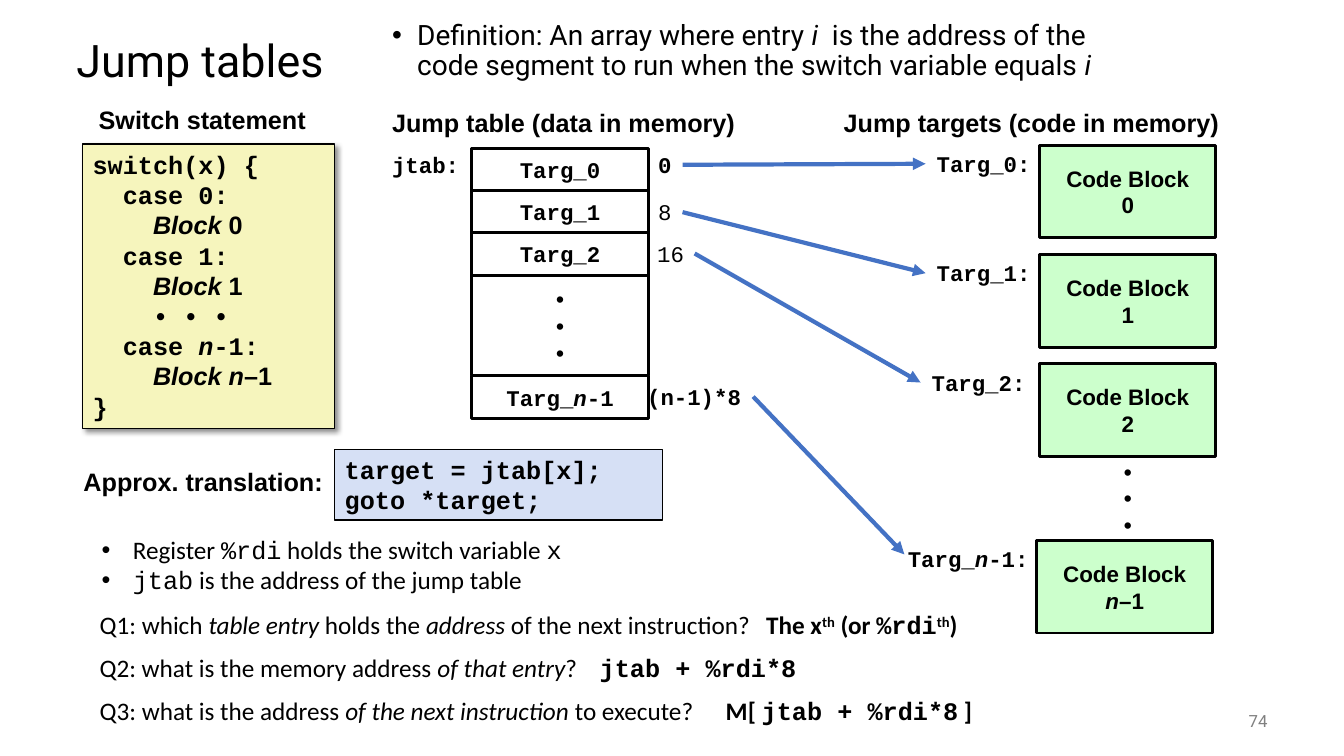
from lxml import etree
from pptx import Presentation
from pptx.dml.color import RGBColor
from pptx.enum.shapes import MSO_CONNECTOR, MSO_SHAPE
from pptx.enum.text import MSO_ANCHOR, MSO_AUTO_SIZE, PP_ALIGN
from pptx.oxml.ns import qn
from pptx.util import Inches, Pt

RECT, STRAIGHT = MSO_SHAPE.RECTANGLE, MSO_CONNECTOR.STRAIGHT
LEFT, CENTER, RIGHT = PP_ALIGN.LEFT, PP_ALIGN.CENTER, PP_ALIGN.RIGHT
TOP, MIDDLE = MSO_ANCHOR.TOP, MSO_ANCHOR.MIDDLE
GROW, FIXED = MSO_AUTO_SIZE.SHAPE_TO_FIT_TEXT, MSO_AUTO_SIZE.NONE
ARIAL, CALIBRI, MONO, ROBOTO = "Arial", "Calibri", "Courier New", "Roboto"
BLACK, WHITE, GRAY = "000000", "FFFFFF", "808080"
YELLOW, PALE_BLUE, GREEN, ARROW_BLUE = "F6F5BD", "D6E0F5", "CCFFCC", "4472C4"
DOTS = [[("•", MONO, "b")]] * 3
LABEL_H = 0.37


def rgb(color):
    return RGBColor.from_string(color)


def write(sp, paras, size=18, align=LEFT, anchor=TOP, wrap=False, grow=True,
          color=BLACK, spacing=None, bullet=None):
    """Fill a shape; a run is (text, font, flags): b bold, i italic, ^ raised."""
    tf = sp.text_frame
    tf.word_wrap, tf.vertical_anchor = wrap, anchor
    tf.auto_size = GROW if grow else FIXED
    for n, runs in enumerate(paras):
        p = tf.add_paragraph() if n else tf.paragraphs[0]
        p.alignment = align
        if spacing:
            p.line_spacing = spacing
        if bullet:
            pPr = p._p.get_or_add_pPr()
            pPr.set("marL", str(Inches(bullet)))
            pPr.set("indent", str(-Inches(bullet)))
            etree.SubElement(pPr, qn("a:buFont")).set("typeface", ARIAL)
            etree.SubElement(pPr, qn("a:buChar")).set("char", "•")
        for text, font, flags in runs:
            r = p.add_run()
            r.text = text
            r.font.name, r.font.size = font, Pt(size)
            r.font.bold, r.font.italic = "b" in flags, "i" in flags
            r.font.color.rgb = rgb(color)
            if "^" in flags:
                r._r.get_or_add_rPr().set("baseline", "30000")


def add_text(s, x, y, w, h, paras, **style):
    sp = s.shapes.add_textbox(Inches(x), Inches(y), Inches(w), Inches(h))
    write(sp, paras, **style)
    return sp


def add_box(s, x, y, w, h, paras, fill, line=2, **style):
    sp = s.shapes.add_shape(RECT, Inches(x), Inches(y), Inches(w), Inches(h))
    sp.shadow.inherit = False
    sp.fill.solid()
    sp.fill.fore_color.rgb = rgb(fill)
    if line:
        sp.line.color.rgb = rgb(BLACK)
        sp.line.width = Pt(line)
    else:
        sp.line.fill.background()
    write(sp, paras, **style)
    return sp


def add_heading(s, x, y, w, text):
    add_text(s, x, y, w, 0.4, [[(text, ARIAL, "b")]])


def add_drop_shadow(sp):
    effects = sp._element.spPr.find(qn("a:effectLst"))
    shadow = etree.SubElement(effects, qn("a:outerShdw"), blurRad=str(Pt(4)),
                              dist=str(Pt(3)), dir="2700000", algn="tl")
    tint = etree.SubElement(shadow, qn("a:srgbClr"), val=BLACK)
    etree.SubElement(tint, qn("a:alpha"), val="43000")


def add_arrow(s, start, target):
    """Join an offset label to a target label, or to a free point (x, y)."""
    free = isinstance(target, tuple)
    x, y = target if free else (0, 0)
    c = s.shapes.add_connector(STRAIGHT, 0, 0, Inches(x), Inches(y))
    c.begin_connect(start, 3)
    if not free:
        c.end_connect(target, 1)
    c.line.color.rgb = rgb(ARROW_BLUE)
    c.line.width = Pt(3)
    etree.SubElement(c.line._get_or_add_ln(), qn("a:tailEnd"), type="triangle")
    etree.SubElement(c._element.spPr, qn("a:effectLst"))


def add_title(s, x, y):
    add_text(s, x, y, 3, 0.75, [[("Jump tables", ROBOTO, "")]], size=32,
             anchor=MIDDLE, wrap=True, grow=False, spacing=0.9)
    definition = [("Definition: An array where entry ", ROBOTO, ""), ("i ", ROBOTO, "i"),
                  (" is the address of the code segment to run when the switch "
                   "variable equals ", ROBOTO, ""), ("i", ROBOTO, "i")]
    add_text(s, x + 3.13, y - 0.09, 7.43, 0.95, [definition], size=20, wrap=True,
             grow=False, spacing=0.9, bullet=0.25)


def add_switch(s, x, y):
    def block(name, rest):
        return [("    ", MONO, "b"), (name, ARIAL, "bi"), (rest, ARIAL, "b")]

    code = [
        [("switch(x) {", MONO, "b")],
        [("  case 0:", MONO, "b")], block("Block", " 0"),
        [("  case 1:", MONO, "b")], block("Block", " 1"),
        [("    • • •", MONO, "b")],
        [("  case ", MONO, "b"), ("n", MONO, "bi"), ("-1:", MONO, "b")],
        block("Block n", "–1"),
        [("}", MONO, "b")],
    ]
    add_drop_shadow(add_box(s, x, y, 2.5, 2.82, code, YELLOW, line=1, wrap=True))
    add_heading(s, x + 0.06, y - 0.44, 2.29, "Switch statement")


def add_translation(s, x, y):
    code = [[(line, MONO, "b")] for line in ("target = jtab[x];", "goto *target;")]
    add_box(s, x + 2.59, y, 3.25, 0.7, code, PALE_BLUE, line=1, wrap=True)
    add_heading(s, x, y + 0.12, 2.6, "Approx. translation:")
    notes = [
        [("Register ", CALIBRI, ""), ("%rdi", MONO, ""),
         (" holds the switch variable ", CALIBRI, ""), ("x", MONO, "")],
        [("jtab", MONO, ""), (" is the address of the jump table", CALIBRI, "")],
    ]
    add_text(s, x + 0.18, y + 0.79, 4.9, 0.71, notes, wrap=True, bullet=0.31)


def add_jump_table(s, x, y):
    """Draw the table and return its offset labels."""
    w, h, dots_h = 1.75, 0.42, 1
    left = x + 0.89
    cell = dict(size=16, align=CENTER, anchor=MIDDLE, grow=False)
    last_y = y + 3 * h + dots_h
    entries = [(y + n * h, [(str(n), MONO, "b")]) for n in range(3)]
    entries.append((last_y, [("n", MONO, "bi"), ("-1", MONO, "b")]))
    for top, index in entries:
        name = [("Targ", MONO, "b"), ("_", MONO, "" if top < last_y else "b")]
        add_box(s, left, top, w, h, [name + index], WHITE, **cell)
    add_box(s, left, y + 3 * h, w, dots_h, DOTS, WHITE, **cell)
    add_text(s, x, y - 0.02, 0.88, LABEL_H, [[("jtab:", MONO, "b")]], size=16)
    add_heading(s, x, y - 0.45, 3.64, "Jump table (data in memory)")
    offsets = [("0", 2.64, -0.02, 0.34, "b"), ("8", 2.64, 0.45, 0.34, ""),
               ("16", 2.63, 0.86, 0.47, ""), ("(n-1)*8", 2.53, 2.28, 1.15, "b")]
    return [add_text(s, x + dx, y + dy, wide, LABEL_H, [[(text, MONO, flags)]], size=16)
            for text, dx, dy, wide, flags in offsets]


def add_targets(s, x, y):
    """Draw the code blocks and return their labels."""
    w, h, step = 1.75, 0.92, 1.085
    cell = dict(size=16, align=CENTER, anchor=MIDDLE, grow=False)
    add_box(s, x, y + 3, w, 1, DOTS, WHITE, line=0, **cell)
    # block left, top, number runs, label left, label width, label runs
    blocks = [(0, n * step, [(str(n), ARIAL, "b")], -1.18 if n == 2 else -1.13, 1.14,
               [(f"Targ_{n}:", MONO, "b")]) for n in range(3)]
    blocks.append((-0.03, 3.92, [("n", ARIAL, "bi"), ("–1", ARIAL, "b")], -1.43, 1.42,
                   [("Targ_", MONO, "b"), ("n", MONO, "bi"), ("-1:", MONO, "b")]))
    labels = []
    for dx, dy, number, label_dx, label_w, label in blocks:
        add_box(s, x + dx, y + dy, w, h, [[("Code Block", ARIAL, "b")], number],
                GREEN, **cell)
        labels.append(add_text(s, x + label_dx, y + dy, label_w, LABEL_H, [label],
                               size=16, align=RIGHT))
    add_heading(s, x - 2.04, y - 0.42, 3.96, "Jump targets (code in memory)")
    return labels


def add_questions(s, x, y):
    questions = [
        (6.75, [("Q1: which ", CALIBRI, ""), ("table entry", CALIBRI, "i"),
                (" holds the ", CALIBRI, ""), ("address", CALIBRI, "i"),
                (" of the next instruction?", CALIBRI, "")],
         6.61, 2.16, [("The x", CALIBRI, "b"), ("th", CALIBRI, "b^"), (" (or ", CALIBRI, "b"),
                      ("%rdi", MONO, "b"), ("th", CALIBRI, "b^"), (")", CALIBRI, "b")]),
        (5, [("Q2: what is the memory address ", CALIBRI, ""),
             ("of that entry", CALIBRI, "i"), ("?", CALIBRI, "")],
         4.96, 2.16, [("jtab + %rdi*8", MONO, "b")]),
        (6.21, [("Q3: what is the address", CALIBRI, ""),
                (" of the next instruction", CALIBRI, "i"), (" to execute?", CALIBRI, "")],
         6.21, 2.66, [("M[ ", CALIBRI, "b"), ("jtab + %rdi*8", MONO, "b"),
                      (" ]", CALIBRI, "b")]),
    ]
    for n, (w, question, answer_dx, answer_w, answer) in enumerate(questions):
        top = y + n * 0.425
        add_text(s, x, top, w, 0.4, [question])
        add_text(s, x + answer_dx, top, answer_w, 0.4, [answer])


def main():
    prs = Presentation()
    prs.slide_width, prs.slide_height = Inches(13.33), Inches(7.5)
    s = prs.slides.add_slide(prs.slide_layouts[6])
    add_title(s, 0.66, 0.25)
    add_switch(s, 0.82, 1.43)
    add_translation(s, 0.73, 4.46)
    offsets = add_jump_table(s, 3.79, 1.47)
    labels = add_targets(s, 10.31, 1.44)
    for start, target in zip(offsets, labels[:3] + [(8.97, 5.5)]):
        add_arrow(s, start, target)
    add_questions(s, 0.89, 6)
    add_text(s, 11.67, 6.95, 1, 0.4, [[("74", ROBOTO, "")]], size=12, align=RIGHT,
             anchor=MIDDLE, wrap=True, grow=False, color=GRAY)
    prs.save("out.pptx")


if __name__ == "__main__":
    main()
